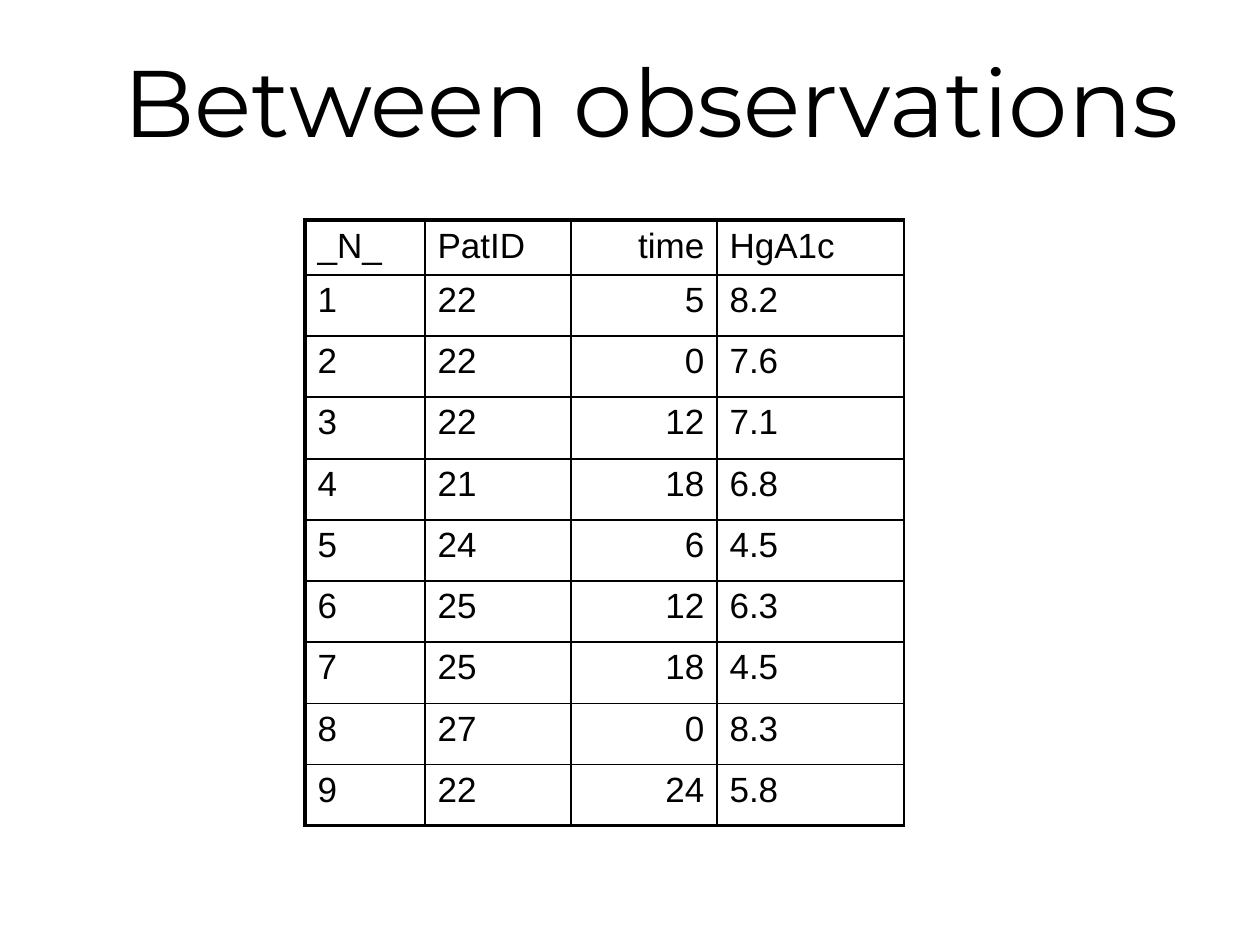
"""Build the slide listing patient observations in a ruled table."""
import dataclasses

import pptx
import pptx.dml.color
import pptx.enum.text
import pptx.oxml.ns
import pptx.table
import pptx.util
from lxml import etree

ALIGN = pptx.enum.text.PP_ALIGN
BLACK = pptx.dml.color.RGBColor(0x00, 0x00, 0x00)
PX_PER_INCH = 126
THIN, THICK = 1, 2.25
TABLE_LEFT, TABLE_TOP = 305, 220
HEADER_HEIGHT, BODY_HEIGHT = 55, 551


@dataclasses.dataclass(frozen=True)
class Column:
    heading: str
    width: int
    values: tuple[str, ...]
    align: ALIGN = ALIGN.LEFT


COLUMNS = (
    Column("_N_", 120, tuple(str(n) for n in range(1, 10))),
    Column("PatID", 146, ("22", "22", "22", "21", "24", "25", "25", "27", "22")),
    Column("time", 146, ("5", "0", "12", "18", "6", "12", "18", "0", "24"), ALIGN.RIGHT),
    Column("HgA1c", 187, ("8.2", "7.6", "7.1", "6.8", "4.5", "6.3", "4.5", "8.3", "5.8")),
)


def px(length: int) -> pptx.util.Emu:
    return pptx.util.Emu(round(length * 914400 / PX_PER_INCH))


def set_font(paragraph, family: str, size: int) -> None:
    paragraph.font.name = family
    paragraph.font.size = pptx.util.Pt(size)
    paragraph.font.color.rgb = BLACK


def add_border(cell: pptx.table._Cell, side: str, width: float) -> None:
    qn = pptx.oxml.ns.qn
    line = etree.SubElement(cell._tc.get_or_add_tcPr(), qn(f"a:ln{side}"),
                            w=str(pptx.util.Pt(width)))
    fill = etree.SubElement(line, qn("a:solidFill"))
    etree.SubElement(fill, qn("a:srgbClr"), val=str(BLACK))


def fill_cell(cell: pptx.table._Cell, text: str, align: ALIGN,
              borders: dict[str, float]) -> None:
    cell.text = text
    paragraph = cell.text_frame.paragraphs[0]
    paragraph.alignment = align
    set_font(paragraph, "Arial", 20)
    for side, width in borders.items():
        add_border(cell, side, width)
    cell.fill.background()


def add_title(slide, text: str) -> None:
    title = slide.shapes.title
    title.left, title.top, title.width, title.height = px(21), px(21), px(1260), px(158)
    title.text = text
    title.text_frame.vertical_anchor = pptx.enum.text.MSO_ANCHOR.MIDDLE
    paragraph = title.text_frame.paragraphs[0]
    paragraph.alignment = ALIGN.CENTER
    set_font(paragraph, "Montserrat", 54)


def add_observations(slide, columns: tuple[Column, ...]) -> None:
    count = len(columns[0].values)
    table = slide.shapes.add_table(
        count + 1, len(columns), px(TABLE_LEFT), px(TABLE_TOP),
        px(sum(column.width for column in columns)),
        px(HEADER_HEIGHT + BODY_HEIGHT)).table
    table.first_row = table.horz_banding = False
    edges = [round(BODY_HEIGHT * i / count) for i in range(count + 1)]
    heights = [HEADER_HEIGHT] + [low - high for high, low in zip(edges, edges[1:])]
    for row, height in zip(table.rows, heights):
        row.height = px(height)
    for c, column in enumerate(columns):
        table.columns[c].width = px(column.width)
        for r, text in enumerate((column.heading, *column.values)):
            borders = {
                "L": THICK if c == 0 else THIN,
                "R": THIN,
                "T": THICK if r == 0 else THIN,
                "B": THICK if r == count else THIN,
            }
            fill_cell(table.cell(r, c), text, column.align, borders)


def main() -> None:
    presentation = pptx.Presentation()
    presentation.slide_width, presentation.slide_height = px(1260), px(945)
    slide = presentation.slides.add_slide(presentation.slide_layouts.get_by_name("Title Only"))
    add_title(slide, "Between observations")
    add_observations(slide, COLUMNS)
    presentation.save("out.pptx")


if __name__ == "__main__":
    main()
